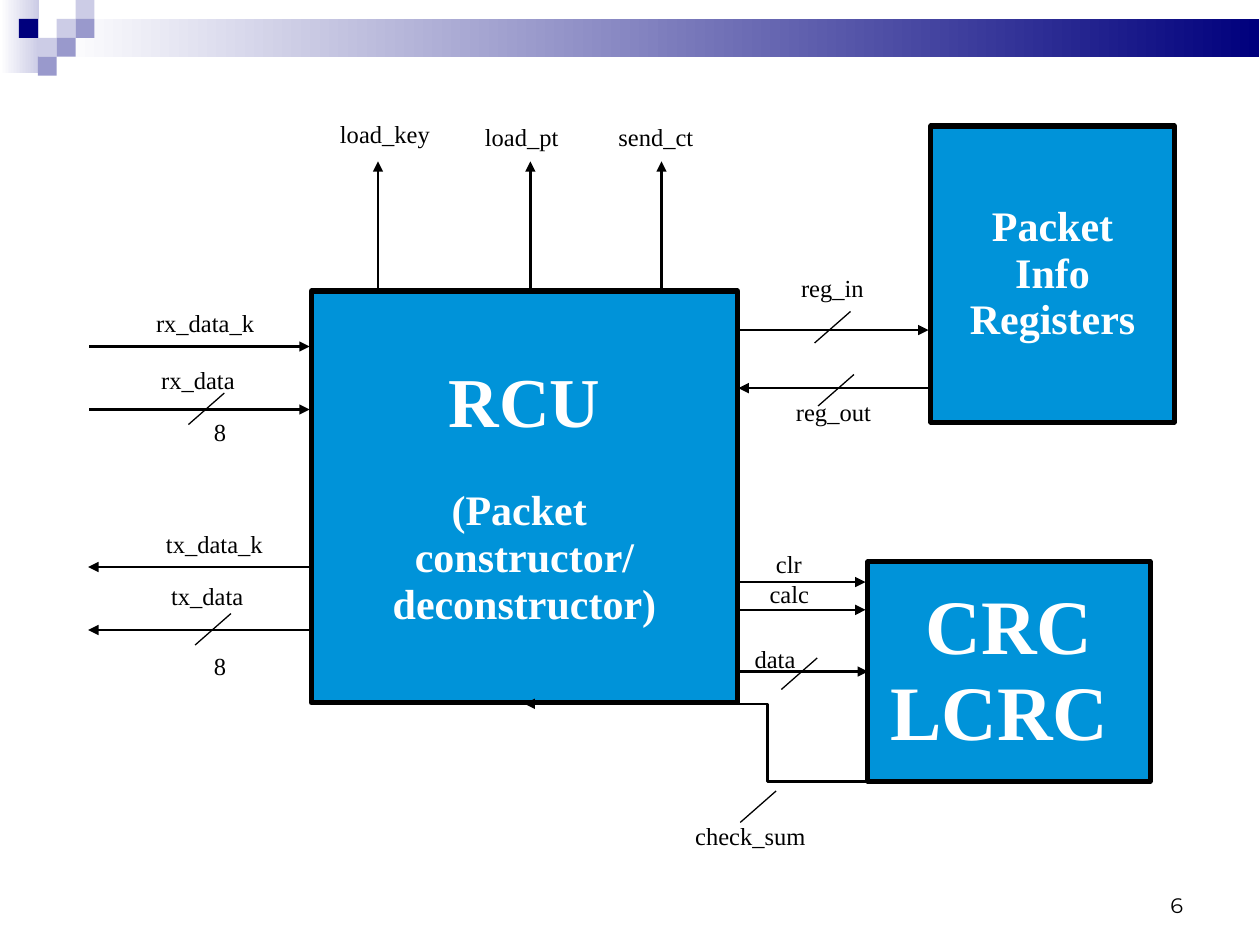
from lxml.etree import SubElement
from pptx import Presentation
from pptx.dml.color import RGBColor as Rgb
from pptx.enum.shapes import MSO_CONNECTOR as Link, MSO_SHAPE as Form
from pptx.enum.text import MSO_ANCHOR as Anchor, PP_ALIGN as Align
from pptx.oxml.ns import qn
from pptx.util import Pt

HUES = {"navy": "00007D", "mid": "9999CC", "pale": "CCCCE6",
        "white": "FFFFFF", "black": "000000", "blue": "0093D9"}
SERIF = "Times New Roman"

UNIT = 10.8
BANDS = [("pale", 0, 0, 22.3, 41.8), ("navy", 32.4, UNIT, 687, 21.6)]
TILES = [("pale", 3, 1), ("pale", 4, 0), ("mid", 4, 1), ("pale", 2, 2),
         ("navy", 1, 1), ("mid", 3, 2), ("mid", 2, 3)]

BLOCKS = {
    "rcu": ((178, 166.3, 243.4, 235.4),
            [("RCU", 40, 0), ("(Packet ", 24, 25.5),
             ("constructor/", 24, 0), ("deconstructor)", 24, 0)]),
    "crc": ((496, 321, 161.3, 125.5), [("CRC", 44, 0), ("LCRC ", 44, 0)]),
    "regs": ((532, 72, 139, 169.2),
             [("Packet", 24, 0), ("Info", 24, 0), ("Registers", 24, 0)]),
}

LABELS = [
    ("rx_data_k", 82.1, 174.2, 108), ("tx_data_k", 87.8, 300.2, 108),
    ("rx_data", 85, 206.6, 108), ("tx_data", 90.7, 329.8, 108),
    ("data", 424.1, 365.8, 90), ("calc", 432.7, 329, 90),
    ("clr", 436.3, 311.8, 90), ("check_sum", 390.2, 467.3, 90),
    ("reg_in", 450.7, 154.1, 72), ("reg_out", 447.8, 224.6, 72),
    ("8", 115.2, 236.2, 36), ("8", 115.2, 370.1, 36),
    ("load_key", 187.2, 66.2, 108), ("load_pt", 270, 67.7, 108),
    ("send_ct", 346.3, 67.7, 108),
]
SLASHES = [(486, 178), (488, 214), (467, 376),
           (443.5, 452), (128.2, 224.6), (132, 350.6)]
FLOWS = (
    [(51, y, 177, y) for y in (198, 234)]
    + [(178, y, 50.4, y) for y in (324, 360)]
    + [(422.5, y, 494.6, y) for y in (332.6, 348.5)]
    + [(531.4, 221.8, 422, 221.8), (422.5, 188.6, 530.6, 188.6)]
    + [(x, 165.6, x, 92.2) for x in (216, 303.1, 378)]
)


def hue(name):
    return Rgb.from_string(HUES[name])


def write(frame, rows, font=SERIF, color="black", bold=False,
          align=Align.LEFT, anchor=Anchor.TOP, inset=(7.2, 3.6), lead=0.93):
    """Fill a text frame with rows of text, size and space before."""
    frame.word_wrap = True
    frame.vertical_anchor = anchor
    frame.margin_left = frame.margin_right = Pt(inset[0])
    frame.margin_top = frame.margin_bottom = Pt(inset[1])
    for i, (text, size, gap) in enumerate(rows):
        para = frame.add_paragraph() if i else frame.paragraphs[0]
        para.alignment = align
        para.line_spacing = lead
        para.space_before = Pt(gap)
        run = para.add_run()
        run.text = text
        run.font.size = Pt(size)
        run.font.name = font
        run.font.bold = bold
        run.font.color.rgb = hue(color)


def rect(shapes, box, fill, edge=None, fade=None):
    """Draw a rectangle with a plain or a fading fill."""
    shape = shapes.add_shape(Form.RECTANGLE, *map(Pt, box))
    shape.shadow.inherit = False
    if fade:
        shape.fill.gradient()
        shape.fill.gradient_angle = 180
        for stop, name in zip(shape.fill.gradient_stops, (fill, fade)):
            stop.color.rgb = hue(name)
    else:
        shape.fill.solid()
        shape.fill.fore_color.rgb = hue(fill)
    if edge:
        shape.line.color.rgb = hue("black")
        shape.line.width = Pt(edge)
    else:
        shape.line.fill.background()
    return shape


def wire(shapes, ends, kind=Link.STRAIGHT, width=1.45, arrow=True):
    """Draw a connector, with an arrowhead at its end if asked."""
    line = shapes.add_connector(kind, *map(Pt, ends))
    line.line.color.rgb = hue("black")
    line.line.width = Pt(width)
    if arrow:
        SubElement(line.line._get_or_add_ln(), qn("a:tailEnd"), type="triangle")
    SubElement(line._element.spPr, qn("a:effectLst"))
    return line


def label(shapes, box, text, size=14, **style):
    """Place a text box holding one line."""
    frame = shapes.add_textbox(*map(Pt, box)).text_frame
    write(frame, [(text, size, 0)], **style)


def main():
    """Build the block diagram slide."""
    deck = Presentation()
    deck.slide_width, deck.slide_height = Pt(720), Pt(540)
    shapes = deck.slides.add_slide(deck.slide_layouts[6]).shapes

    for fill, *box in BANDS:
        rect(shapes, box, fill, fade="white")
    for fill, col, row in TILES:
        rect(shapes, (col * UNIT, row * UNIT, UNIT, UNIT), fill)
    label(shapes, (516.2, 504, 167, 23.8), "6", size=12, font="Montserrat",
          align=Align.RIGHT, anchor=Anchor.BOTTOM, lead=1)

    blocks = {}
    for name, (box, rows) in BLOCKS.items():
        blocks[name] = rect(shapes, box, "blue", edge=2.89)
        write(blocks[name].text_frame, rows, color="white", bold=True,
              align=Align.CENTER, anchor=Anchor.MIDDLE, inset=(8.6, 5))

    wire(shapes, (577.4, 446.5, 299.7, 402.2), kind=Link.ELBOW)
    for text, x, y, wide in LABELS:
        label(shapes, (x, y, wide, 23), text)
    for x, y in SLASHES:
        wire(shapes, (x, y, x - 20.5, y + 18), width=0.75, arrow=False)
    for ends in FLOWS:
        wire(shapes, ends)
    data = wire(shapes, (422.5, 383.75, 496, 383.75))
    data.end_connect(blocks["crc"], 1)

    deck.save("out.pptx")


if __name__ == "__main__":
    main()
